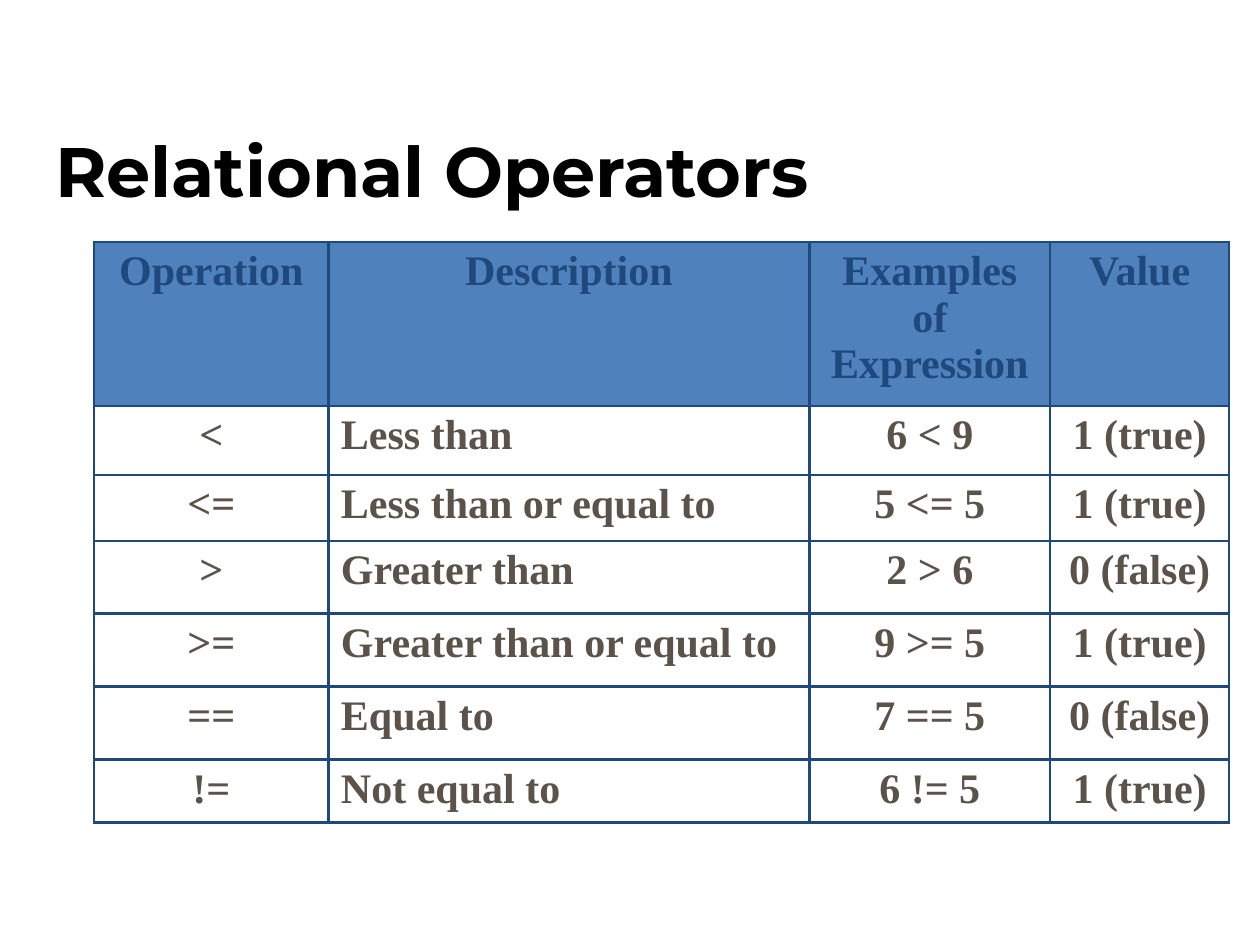
"""Build the slide that tabulates the relational operators."""
from dataclasses import dataclass

from lxml import etree
from pptx import Presentation
from pptx import util as u
from pptx.dml.color import RGBColor
from pptx.enum import text
from pptx.oxml.ns import qn
from pptx.slide import Slide
from pptx.table import _Cell
from pptx.text.text import _Paragraph


@dataclass(frozen=True)
class Theme:
    """Colours, fonts and type sizes of the slide."""
    title_color: str = "000000"
    header_color: str = "1F497D"
    body_color: str = "5B5249"
    header_fill: str = "4F81BD"
    border_color: str = "1F497D"
    border_width: float = 1.47
    title_font: str = "Montserrat"
    table_font: str = "Times New Roman"
    title_size: int = 40
    table_size: int = 24


@dataclass(frozen=True)
class Operator:
    """One relational operator with its meaning and an example."""
    symbol: str
    description: str
    example: str
    value: str


@dataclass(frozen=True)
class Column:
    """Heading, width in centimetres and body alignment of a column."""
    heading: str
    width: float
    align: text.PP_ALIGN = text.PP_ALIGN.CENTER


THEME = Theme()
COLUMNS = (
    Column("Operation", 4.72),
    Column("Description", 9.7, text.PP_ALIGN.LEFT),
    Column("Examples of Expression", 4.85),
    Column("Value", 3.61),
)
OPERATORS = (
    Operator("<", "Less than", "6 < 9", "1 (true)"),
    Operator("<=", "Less than or equal to", "5 <= 5", "1 (true)"),
    Operator(">", "Greater than", "2 > 6", "0 (false)"),
    Operator(">=", "Greater than or equal to", "9 >= 5", "1 (true)"),
    Operator("==", "Equal to", "7 == 5", "0 (false)"),
    Operator("!=", "Not equal to", "6 != 5", "1 (true)"),
)
ROW_HEIGHTS = (3.3, 1.4, 1.32, 1.47, 1.47, 1.47, 1.27)


def write(paragraph: _Paragraph, wording: str, font: str, size: int,
          color: str, align: text.PP_ALIGN) -> None:
    """Fill a paragraph with bold text in the given style."""
    paragraph.text = wording
    paragraph.alignment = align
    for run in paragraph.runs:
        run.font.name = font
        run.font.size = u.Pt(size)
        run.font.bold = True
        run.font.color.rgb = RGBColor.from_string(color)


def add_borders(cell: _Cell) -> None:
    """Draw a solid line on all four sides of a cell."""
    properties = cell._tc.get_or_add_tcPr()
    for side in ("a:lnL", "a:lnR", "a:lnT", "a:lnB"):
        line = etree.SubElement(properties, qn(side), w=str(u.Pt(THEME.border_width)))
        fill = etree.SubElement(line, qn("a:solidFill"))
        etree.SubElement(fill, qn("a:srgbClr"), val=THEME.border_color)


def draw_cell(cell: _Cell, wording: str, align: text.PP_ALIGN, is_header: bool) -> None:
    """Write and format one table cell."""
    add_borders(cell)
    if is_header:
        cell.fill.solid()
        cell.fill.fore_color.rgb = RGBColor.from_string(THEME.header_fill)
    else:
        cell.fill.background()
    color = THEME.header_color if is_header else THEME.body_color
    write(cell.text_frame.paragraphs[0], wording, THEME.table_font,
          THEME.table_size, color, align)


def draw_title(slide: Slide, wording: str) -> None:
    """Place and format the title placeholder."""
    title = slide.shapes.title
    title.left, title.top = u.Cm(0.86), u.Cm(1.83)
    title.width, title.height = u.Cm(23.93), u.Cm(3.18)
    title.text_frame.auto_size = text.MSO_AUTO_SIZE.NONE
    title.text_frame.vertical_anchor = text.MSO_ANCHOR.MIDDLE
    write(title.text_frame.paragraphs[0], wording, THEME.title_font,
          THEME.title_size, THEME.title_color, text.PP_ALIGN.LEFT)


def draw_operators(slide: Slide) -> None:
    """Add the table of operators below the title."""
    operators = slide.shapes.add_table(
        len(ROW_HEIGHTS), len(COLUMNS), u.Cm(1.9), u.Cm(4.88),
        u.Cm(sum(column.width for column in COLUMNS)), u.Cm(sum(ROW_HEIGHTS))).table
    operators.horz_banding = False
    for row, height in zip(operators.rows, ROW_HEIGHTS):
        row.height = u.Cm(height)
    for index, column in enumerate(COLUMNS):
        operators.columns[index].width = u.Cm(column.width)
        draw_cell(operators.cell(0, index), column.heading, text.PP_ALIGN.CENTER, True)
    for row, item in enumerate(OPERATORS, start=1):
        entries = (item.symbol, item.description, item.example, item.value)
        for index, (entry, column) in enumerate(zip(entries, COLUMNS)):
            draw_cell(operators.cell(row, index), entry, column.align, False)


def main() -> None:
    """Create the presentation and save it."""
    deck = Presentation()
    deck.slide_width, deck.slide_height = u.Cm(25.4), u.Cm(19.05)
    slide = deck.slides.add_slide(deck.slide_layouts.get_by_name("Title Only"))
    draw_title(slide, "Relational Operators")
    draw_operators(slide)
    deck.save("out.pptx")


if __name__ == "__main__":
    main()
